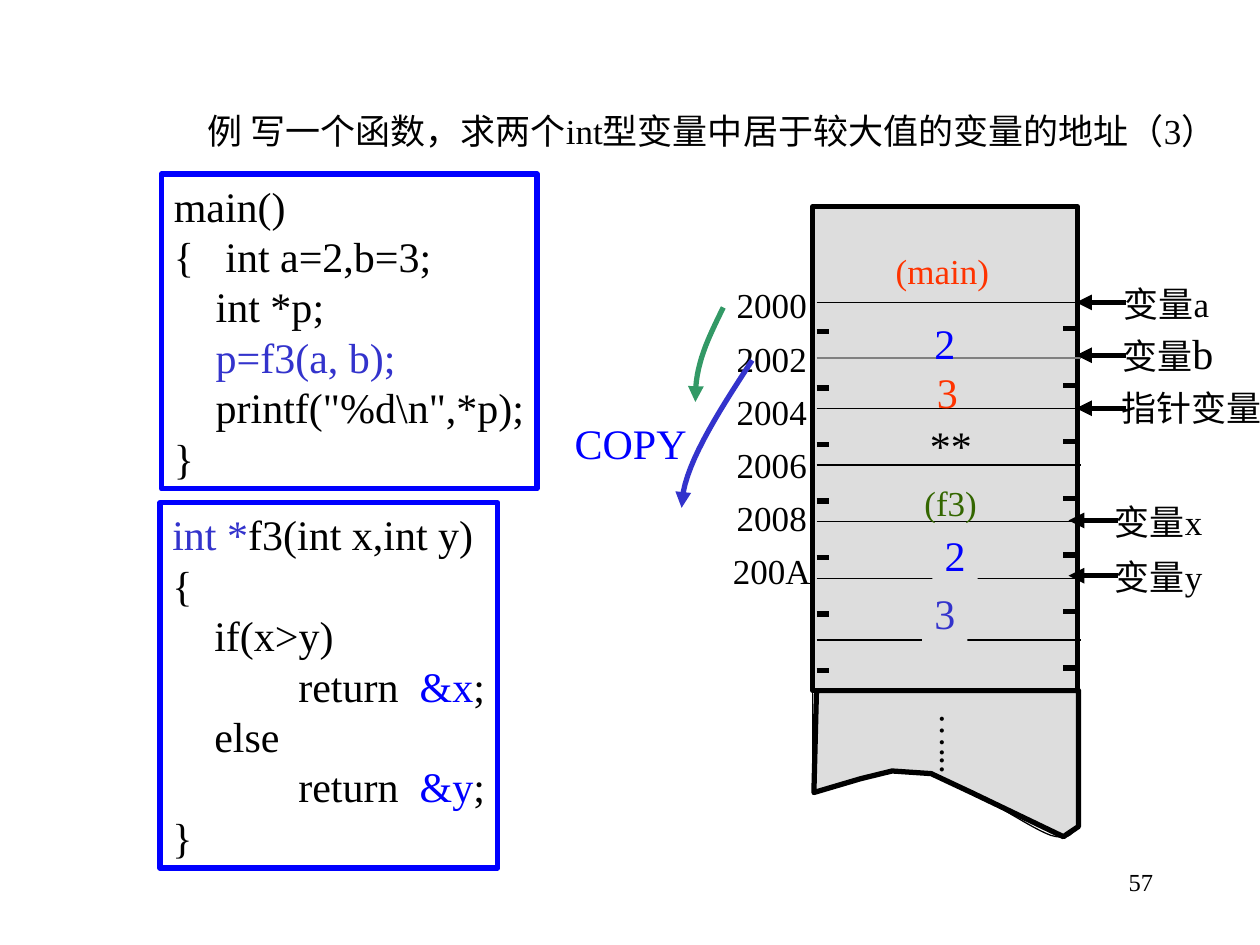
import pptx
import pptx.dml.color
import pptx.enum.shapes
import pptx.enum.text
import pptx.oxml.ns
import pptx.util
from dataclasses import dataclass
from lxml import etree

Pt = pptx.util.Pt
Align = pptx.enum.text.PP_ALIGN
Anchor = pptx.enum.text.MSO_ANCHOR
FONT = "Times New Roman"
HUES = {
    "black": "000000", "white": "FFFFFF", "blue": "0000FF", "indigo": "3333CC",
    "red": "FF3300", "green": "336600", "teal": "339966", "gray": "808080",
    "pale": "DDDDDD",
}


@dataclass
class Run:
    text: str
    hue: str = "black"
    size: float = 20


@dataclass
class Box:
    left: float
    top: float
    width: float
    height: float

    def spot(self) -> tuple:
        return tuple(Pt(n) for n in (self.left, self.top, self.width, self.height))


@dataclass
class Value:
    box: Box
    run: Run
    fill: str = ""


@dataclass
class Label:
    box: Box
    runs: list
    tip: float
    row: float


def tint(name: str):
    return pptx.dml.color.RGBColor.from_string(HUES[name])


def tag(name: str) -> str:
    return pptx.oxml.ns.qn("a:" + name)


def write(frame, rows: list, align=Align.CENTER, anchor=Anchor.MIDDLE,
          wrap=False, pitch=None, tab=None) -> None:
    frame.word_wrap = wrap
    frame.auto_size = pptx.enum.text.MSO_AUTO_SIZE.NONE
    frame.vertical_anchor = anchor
    for place, row in enumerate(rows):
        para = frame.add_paragraph() if place else frame.paragraphs[0]
        para.alignment = align
        if pitch:
            para.line_spacing = Pt(pitch)
        if tab:
            stops = etree.SubElement(para._p.get_or_add_pPr(), tag("tabLst"))
            etree.SubElement(stops, tag("tab"), pos=str(Pt(tab)), algn="l")
        for part in row:
            run = para.add_run()
            run.text = part.text
            run.font.name = FONT
            run.font.size = Pt(part.size)
            run.font.color.rgb = tint(part.hue)


def note(slide, box: Box, *runs: Run, **style):
    shape = slide.shapes.add_textbox(*box.spot())
    write(shape.text_frame, [runs], **style)
    return shape


def ink(shape, hue: str, weight: float, arrow: bool = False) -> None:
    shape.line.color.rgb = tint(hue)
    shape.line.width = Pt(weight)
    if arrow:
        etree.SubElement(shape._element.spPr.find(tag("ln")), tag("tailEnd"), type="triangle")


def block(slide, box: Box, fill: str, edge: str = ""):
    shape = slide.shapes.add_shape(pptx.enum.shapes.MSO_SHAPE.RECTANGLE, *box.spot())
    shape.shadow.inherit = False
    shape.fill.solid()
    shape.fill.fore_color.rgb = tint(fill)
    if edge:
        ink(shape, edge, 3)
    else:
        shape.line.fill.background()
    return shape


def rule(slide, start: tuple, end: tuple, hue="black", weight=3.0, arrow=False) -> None:
    line = slide.shapes.add_connector(
        pptx.enum.shapes.MSO_CONNECTOR.STRAIGHT, *(Pt(n) for n in start + end))
    ink(line, hue, weight, arrow)
    etree.SubElement(line._element.spPr, tag("effectLst"))


def trace(slide, dots: list, hue="black", weight=3.0, fill="", arrow=False) -> None:
    dots = [(Pt(x), Pt(y)) for x, y in dots]
    path = slide.shapes.build_freeform(*dots[0])
    path.add_line_segments(dots[1:], close=bool(fill))
    shape = path.convert_to_shape()
    shape.shadow.inherit = False
    if fill:
        shape.fill.solid()
        shape.fill.fore_color.rgb = tint(fill)
    else:
        shape.fill.background()
    ink(shape, hue, weight, arrow)


def curve(knots: list, steps: int = 16) -> list:
    dots = [knots[0]]
    for first in range(0, len(knots) - 1, 3):
        a, b, c, d = knots[first:first + 4]
        for step in range(1, steps + 1):
            t = step / steps
            u = 1 - t
            dots.append(tuple(
                u**3 * a[k] + 3 * u * u * t * b[k] + 3 * u * t * t * c[k] + t**3 * d[k]
                for k in (0, 1)))
    return dots


def code(slide, box: Box, lines: list) -> None:
    rows = [[Run(text, hue, 24) for text, hue in line] for line in lines]
    shape = block(slide, box, "white", "blue")
    write(shape.text_frame, rows, align=Align.LEFT, anchor=Anchor.TOP, pitch=28.8, tab=72)


def stack(slide) -> None:
    trace(slide, curve([(464.4, 453.6), (484.6, 445.7), (504.7, 437.8), (527, 441.4),
                        (550.1, 445.7), (586.1, 472.3), (600.5, 477.4),
                        (615.6, 481.7), (613.4, 470.9), (616.3, 469.4)]), weight=0.75)
    trace(slide, [(466.6, 394.6), (616.3, 394.6), (616.3, 472.3), (607.7, 478.1),
                  (555.1, 452.9), (532.1, 442.1), (509.8, 440.6), (491.8, 445),
                  (465.1, 452.9)], fill="pale")
    block(slide, Box(464.4, 118.1, 151.2, 276.5), "pale", "black")
    for row in (172.8, 204.5, 233.3, 265.7, 298.1, 330.5, 365.8):
        rule(slide, (466.6, row), (617.8, row), "gray" if row == 204.5 else "black", 0.75)
    for x, foot in ((464.4, 452.2), (616.3, 470.2)):
        rule(slide, (x, 395.3), (x, foot), weight=0.75)
    for left, top in ((466.6, 189.4), (607.7, 187.9)):
        for place in range(7):
            row = top + 32.3 * place
            rule(slide, (left, row), (left + 7.2, row))
    dots = note(slide, Box(526.3, 400.3, 38.2, 42.5), Run("…..."))
    body = dots.text_frame._txBody.bodyPr
    body.set("vert", "eaVert")
    for side, inset in zip(("lIns", "tIns", "rIns", "bIns"), (3.6, 7.2, 3.6, 7.2)):
        body.set(side, str(Pt(inset)))
    for place, text in enumerate(("2000", "2002", "2004", "2006", "2008", "200A")):
        note(slide, Box(411.5, 158.4 + 30.4 * place, 59, 31.7), Run(text))


def main() -> None:
    deck = pptx.Presentation()
    deck.slide_width, deck.slide_height = Pt(720), Pt(540)
    slide = deck.slides.add_slide(deck.slide_layouts[5])

    title = slide.shapes.title
    title.left, title.top, title.width, title.height = Box(108, 57.6, 597.6, 32.4).spot()
    write(title.text_frame, [[Run("例 写一个函数，求两个int型变量中居于较大值的变量的地址（3）")]],
          anchor=Anchor.BOTTOM, wrap=True)
    note(slide, Box(516.2, 491.8, 149.8, 36), Run("57", size=14),
         align=Align.RIGHT, anchor=Anchor.TOP, wrap=True)

    code(slide, Box(91.4, 287.3, 193, 208.8), [
        [("int *", "indigo"), ("f3(int x,int y)", "black")],
        [("{", "black")],
        [("    if(x>y)", "black")],
        [("\treturn  ", "black"), ("&x", "blue"), (";", "black")],
        [("    else", "black")],
        [("\treturn  ", "black"), ("&y", "blue"), (";", "black")],
        [("}", "black")]])
    code(slide, Box(92.2, 99.4, 214.6, 180), [
        [("main()", "black")],
        [("{   int a=2,b=3;", "black")],
        [("    int *p;", "black")],
        [("    p=f3(a, b);", "indigo")],
        [("    printf(\"%d\\n\",*p);", "black")],
        [("}", "black")]])

    stack(slide)

    labels = [
        Label(Box(629.9, 313.9, 69.2, 31.7), [Run("变量y")], 610.6, 329),
        Label(Box(629.9, 282.2, 69.2, 31.7), [Run("变量x")], 610.6, 297.4),
        Label(Box(635, 157.7, 67.7, 31.7), [Run("变量a")], 614.9, 172.8),
        Label(Box(634.2, 183.6, 71.4, 36), [Run("变量"), Run("b", size=24)], 614.9, 203),
        Label(Box(633.6, 217.4, 86.4, 31.7), [Run("指针变量")], 614.9, 233.3),
    ]
    for label in labels:
        rule(slide, (label.tip + 28.4, label.row), (label.tip, label.row), arrow=True)
        shape = note(slide, label.box, *label.runs, align=Align.LEFT, anchor=Anchor.TOP)
        shape.text_frame.margin_right = Pt(0 if label.row == 233.3 else 7.2)

    trace(slide, curve([(413.3, 175.7), (405.4, 192.2), (396.7, 208.1), (397.4, 229.7)]),
          "teal", arrow=True)
    trace(slide, curve([(429.8, 205.9), (409.7, 236.9), (389.5, 267.8), (389.5, 290.2)]),
          "indigo", arrow=True)

    values = [
        Value(Box(321.1, 234.7, 78.5, 36), Run("COPY", "blue", 24)),
        Value(Box(504.7, 139, 67.7, 31.7), Run("(main)", "red")),
        Value(Box(521.3, 271.4, 43.9, 31.7), Run("(f3)", "green")),
        Value(Box(527, 177.8, 25.9, 36), Run("2", "blue", 24)),
        Value(Box(528.5, 205.9, 25.9, 36), Run("3", "red", 24)),
        Value(Box(527, 331.9, 25.9, 36), Run("3", "indigo", 24), "pale"),
        Value(Box(532.8, 298.8, 25.9, 36), Run("2", "blue", 24), "pale"),
        Value(Box(524.2, 236.2, 38.2, 36), Run("**", "black", 24)),
    ]
    for value in values:
        if value.fill:
            write(block(slide, value.box, value.fill).text_frame, [[value.run]])
        else:
            note(slide, value.box, value.run)

    deck.save("out.pptx")


if __name__ == "__main__":
    main()
